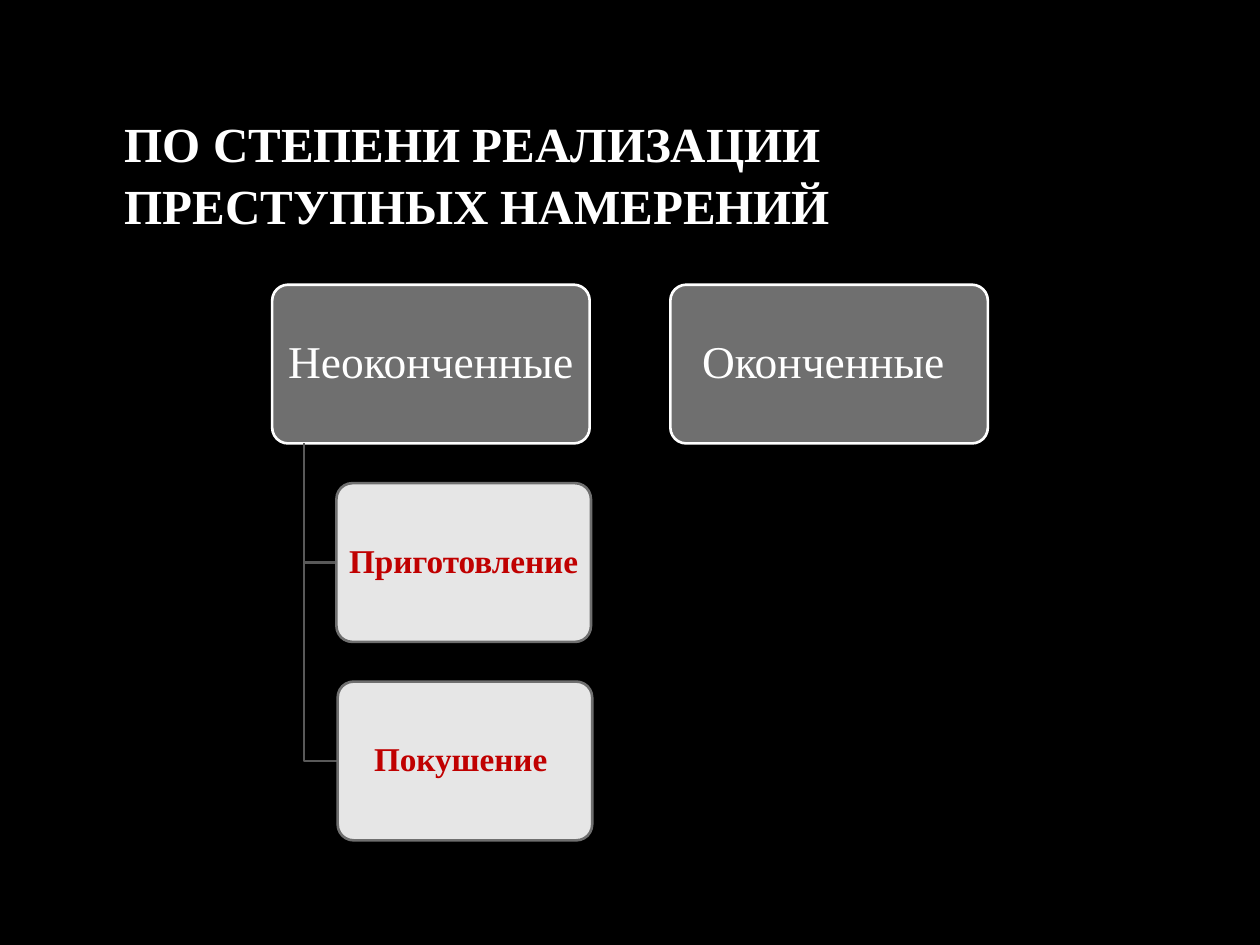
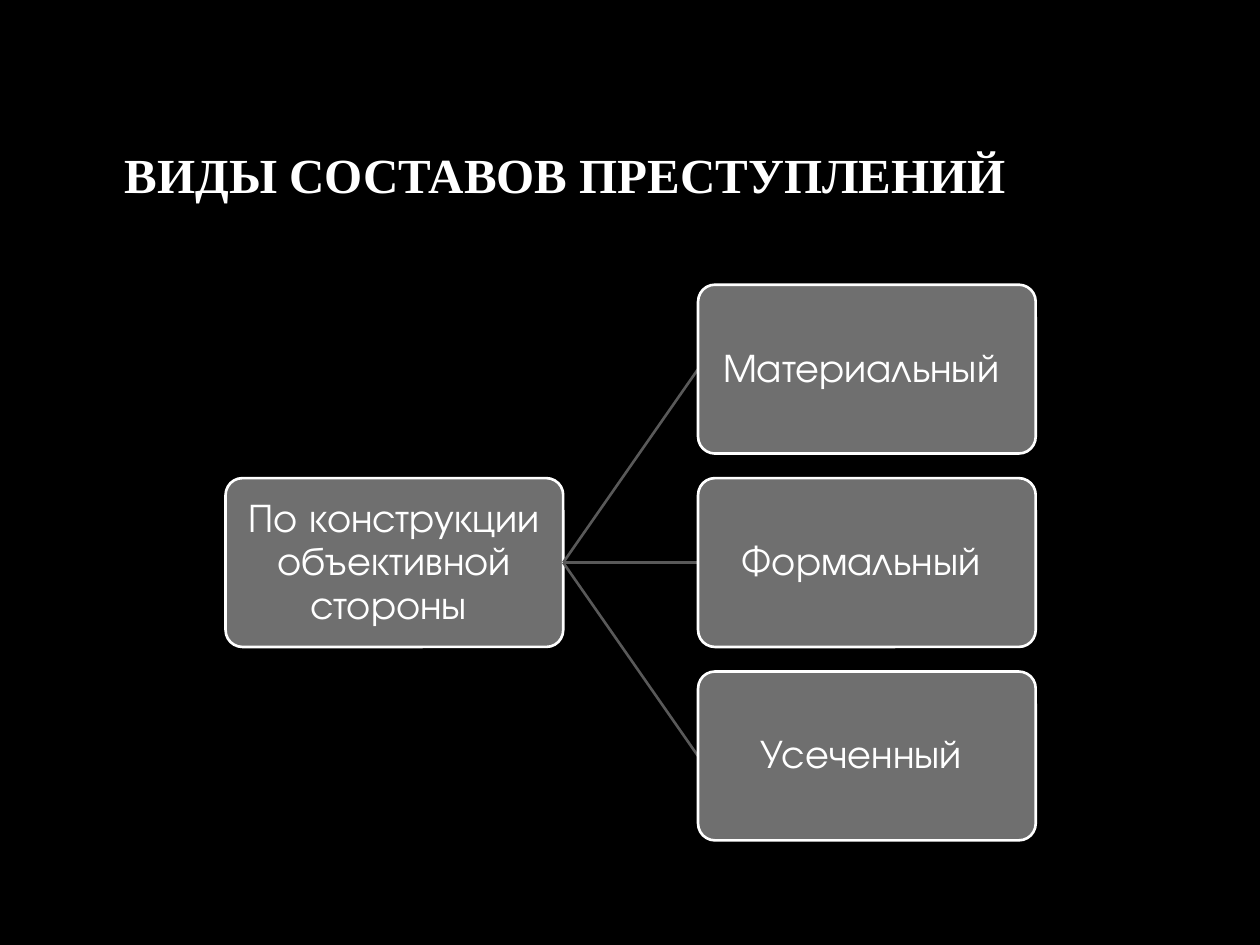
from dataclasses import dataclass
from typing import Any

from lxml import etree
from pptx import Presentation
from pptx import util as u
from pptx.dml.color import RGBColor
from pptx.enum import shapes as sh, text as tx
from pptx.oxml.ns import qn

HUES = {
    "back": "000000",
    "white": "FFFFFF",
    "gray": "6F6F6F",
    "link": "595959",
    "red": "C00000",
}
SERIF, SANS = "Times New Roman", "TeX Gyre Adventor"
TOP, BASE, ROWS = 2.26, 6.67, 3
STROKE = 1.5


@dataclass(frozen=True)
class Style:
    wide: float
    high: float
    fill: str
    edge: str
    ink: str
    font: dict[str, Any]
    pad: tuple[float, float]
    alpha: int = 100


@dataclass(frozen=True)
class Box:
    label: str
    left: float
    row: int
    style: Style

    @property
    def top(self) -> float:
        return TOP + self.row * (BASE - TOP - self.style.high) / (ROWS - 1)

    @property
    def mid(self) -> float:
        return self.top + self.style.high / 2

    @property
    def right(self) -> float:
        return self.left + self.style.wide

    @property
    def foot(self) -> float:
        return self.top + self.style.high


HEAD = Style(2.52, 1.26, "gray", "white", "white",
             {"name": SERIF, "size": u.Pt(26), "bold": False}, (0.05, 0.04))
SUB = Style(2.02, 1.26, "white", "gray", "red",
            {"name": SERIF, "size": u.Pt(19), "bold": True}, (0.04, 0.03), 90)
NODE = Style(2.68, 1.34, "gray", "white", "white",
             {"name": SANS, "size": u.Pt(23), "bold": False}, (0.02, 0.02))
TITLE = {"name": SERIF, "size": u.Pt(28), "bold": True}


def hue(key: str) -> RGBColor:
    return RGBColor.from_string(HUES[key])


def apply(item: Any, form: dict[str, Any]) -> None:
    for key, value in form.items():
        setattr(item, key, value)


def place(item: Any, left: float, top: float, wide: float, high: float) -> None:
    apply(item, {"left": u.Inches(left), "top": u.Inches(top),
                 "width": u.Inches(wide), "height": u.Inches(high)})


def stroke(line: Any, key: str) -> None:
    line.color.rgb = hue(key)
    line.width = u.Pt(STROKE)


def write(item: Any, label: str, font: dict[str, Any], ink: str,
          frame: dict[str, Any], para: dict[str, Any]) -> None:
    body = item.text_frame
    body.text = label
    apply(body, {"word_wrap": True, "auto_size": tx.MSO_AUTO_SIZE.NONE,
                 "vertical_anchor": tx.MSO_ANCHOR.MIDDLE, **frame})
    line = body.paragraphs[0]
    apply(line, para)
    face = line.runs[0].font
    apply(face, font)
    face.color.rgb = hue(ink)


def start(deck: Any, label: str) -> Any:
    slide = deck.slides.add_slide(deck.slide_layouts[5])
    title = slide.shapes.title
    place(title, 0.89, 0.65, 8.21, 1.44)
    write(title, label, TITLE, "white", {},
          {"alignment": tx.PP_ALIGN.LEFT, "line_spacing": 1.05})
    return slide


def draw(slide: Any, box: Box) -> None:
    style = box.style
    item = slide.shapes.add_shape(
        sh.MSO_SHAPE.ROUNDED_RECTANGLE, u.Inches(box.left), u.Inches(box.top),
        u.Inches(style.wide), u.Inches(style.high))
    item.adjustments[0] = 0.1
    item.shadow.inherit = False
    item.fill.solid()
    item.fill.fore_color.rgb = hue(style.fill)
    if style.alpha < 100:
        tint = item.fill._xPr.find(f".//{qn('a:srgbClr')}")
        etree.SubElement(tint, qn("a:alpha"), val=str(style.alpha * 1000))
    stroke(item.line, style.edge)
    side, edge = map(u.Inches, style.pad)
    write(item, box.label, style.font, style.ink,
          {"margin_left": side, "margin_right": side,
           "margin_top": edge, "margin_bottom": edge},
          {"alignment": tx.PP_ALIGN.CENTER, "line_spacing": 0.9})


def branch(slide: Any, head: Box, child: Box) -> None:
    stem = u.Inches(head.left + head.style.wide / 10)
    mid = u.Inches(child.mid)
    pen = slide.shapes.build_freeform(stem, u.Inches(head.foot))
    pen.add_line_segments([(stem, mid), (u.Inches(child.left), mid)], close=False)
    item = pen.convert_to_shape()
    item.fill.background()
    item.shadow.inherit = False
    stroke(item.line, "link")


def ray(slide: Any, root: Box, child: Box) -> None:
    item = slide.shapes.add_connector(
        sh.MSO_CONNECTOR.STRAIGHT, u.Inches(root.right), u.Inches(root.mid),
        u.Inches(child.left), u.Inches(child.mid))
    stroke(item.line, "link")
    etree.SubElement(item._element.spPr, qn("a:effectLst"))


def stages(deck: Any) -> None:
    slide = start(deck, "ПО СТЕПЕНИ РЕАЛИЗАЦИИ ПРЕСТУПНЫХ НАМЕРЕНИЙ")
    head = Box("Неоконченные ", 2.16, 0, HEAD)
    draw(slide, head)
    for child in (Box("Приготовление ", 2.67, 1, SUB),
                  Box("Покушение ", 2.68, 2, SUB)):
        branch(slide, head, child)
        draw(slide, child)
    draw(slide, Box("Оконченные ", 5.32, 0, HEAD))


def kinds(deck: Any) -> None:
    slide = start(deck, "ВИДЫ СОСТАВОВ ПРЕСТУПЛЕНИЙ")
    root = Box("По конструкции объективной стороны ", 1.79, 1, NODE)
    draw(slide, root)
    for row, label in enumerate(("Материальный ", "Формальный ", "Усеченный ")):
        child = Box(label, 5.54, row, NODE)
        ray(slide, root, child)
        draw(slide, child)


def main() -> None:
    deck = Presentation()
    apply(deck, {"slide_width": u.Inches(10), "slide_height": u.Inches(7.5)})
    fill = deck.slide_master.background.fill
    fill.solid()
    fill.fore_color.rgb = hue("back")
    stages(deck)
    kinds(deck)
    deck.save("out.pptx")


main()
